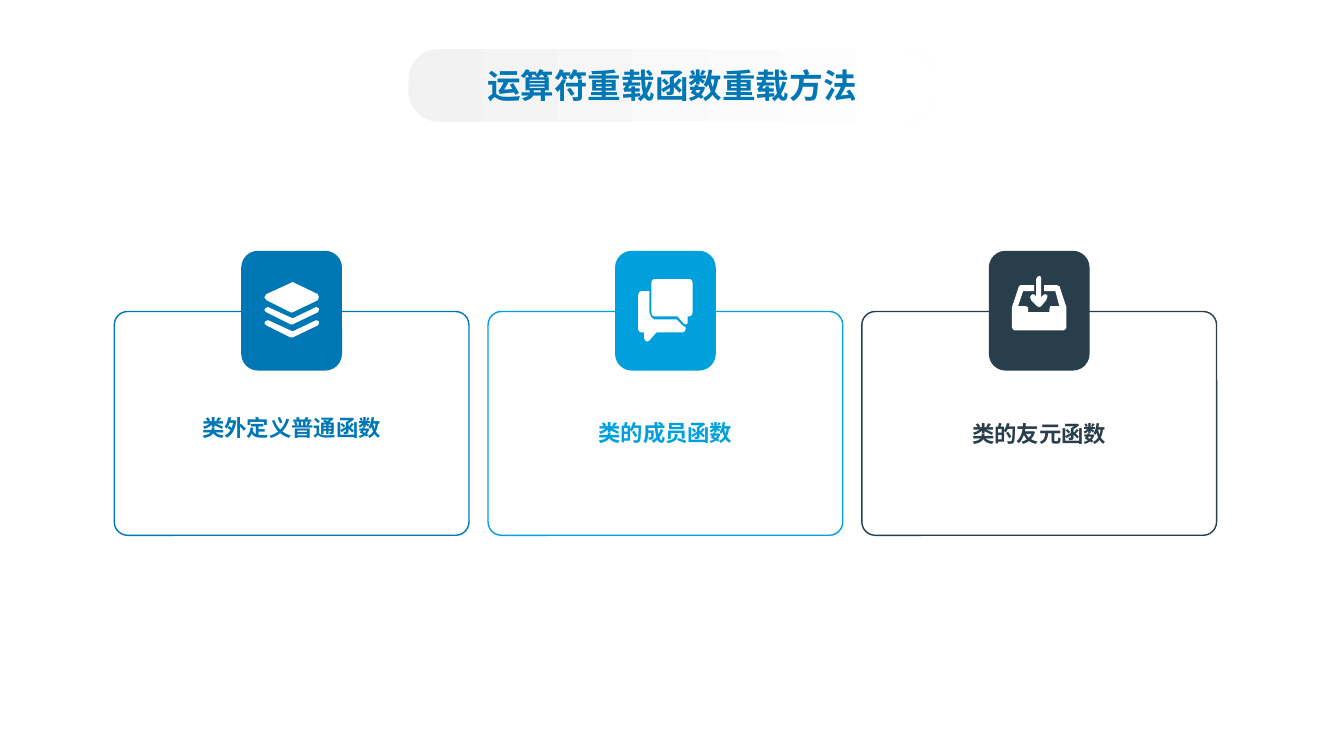
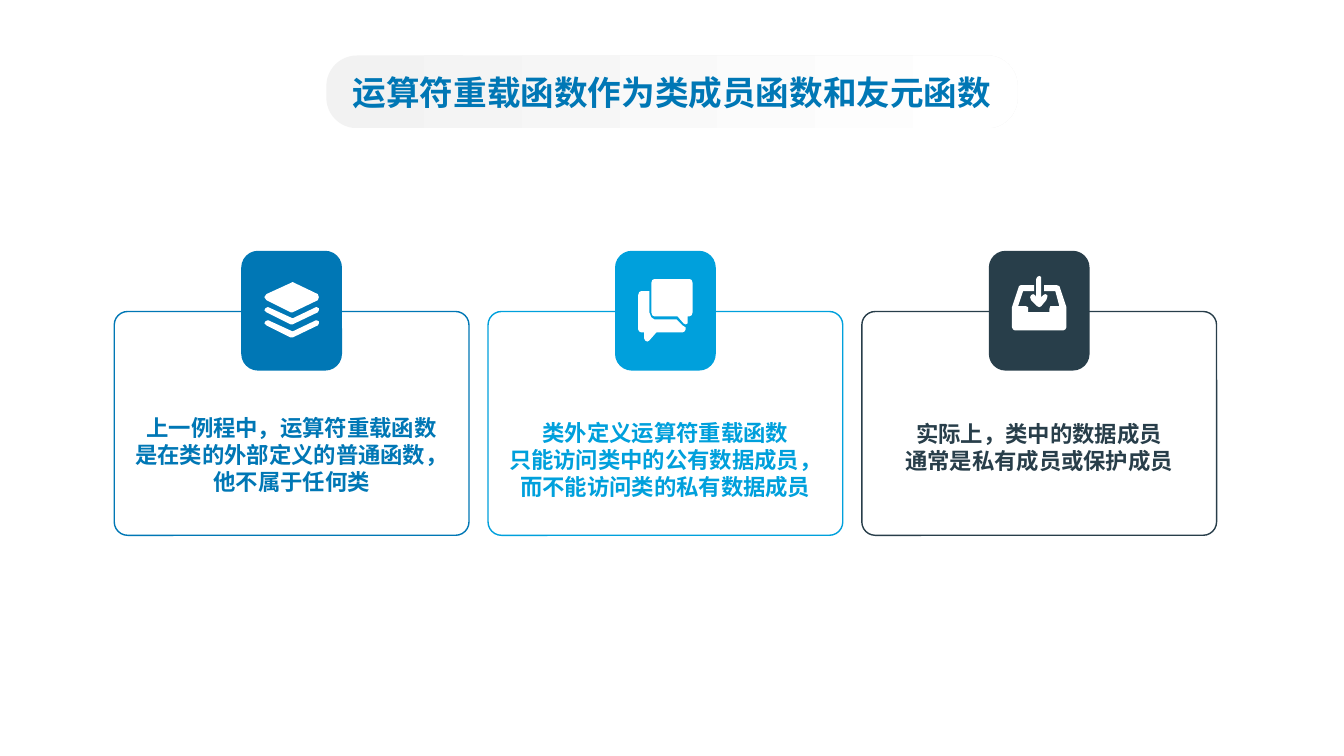
"""Build two slides of three icon cards about operator overloading functions."""
from dataclasses import dataclass

from lxml.etree import SubElement
from pptx import Presentation
from pptx.dml.color import RGBColor
from pptx.enum.shapes import MSO_SHAPE
from pptx.enum.text import MSO_ANCHOR, PP_ALIGN
from pptx.oxml.ns import qn
from pptx.shapes.autoshape import Shape
from pptx.shapes.group import GroupShape
from pptx.slide import Slide
from pptx.text.text import TextFrame
from pptx.util import Cm, Pt

BLUE = RGBColor(0x00, 0x77, 0xB5)
SKY = RGBColor(0x00, 0xA0, 0xDC)
SLATE = RGBColor(0x28, 0x3E, 0x4A)
PALE_GREY = RGBColor(0xF2, 0xF2, 0xF2)
WHITE = RGBColor(0xFF, 0xFF, 0xFF)

CJK_FONT = "Noto Sans CJK SC"
BODY_FONT = "Arial"

SLIDE_WIDTH, SLIDE_HEIGHT = Cm(33.87), Cm(19.05)
TITLE_HEIGHT = Cm(1.83)
CARD_LEFT, CARD_TOP = Cm(2.88), Cm(7.85)
CARD_WIDTH, CARD_HEIGHT = Cm(8.94), Cm(5.64)
CARD_PITCH = Cm(9.42)
TILE_TOP, TILE_WIDTH, TILE_HEIGHT = Cm(6.32), Cm(2.54), Cm(3.02)
TEXT_WIDTH, LINE_HEIGHT = Cm(8.13), Cm(0.9)
ICON_UNIT = TILE_WIDTH / 100

Outline = list[tuple[int, int]]

LAYER_TOP: Outline = [
    (76, 49), (51, 61), (49, 61), (25, 49), (23, 46),
    (25, 43), (49, 32), (51, 31), (76, 43), (77, 46),
]
LAYER_EDGE: Outline = [
    (76, 61), (51, 73), (49, 73), (25, 61), (23, 59), (24, 57), (26, 56),
    (27, 56), (51, 67), (74, 56), (75, 56), (77, 57), (77, 59),
]
LAYERS = [LAYER_TOP, LAYER_EDGE, [(x, y + 13) for x, y in LAYER_EDGE]]

FRONT_BUBBLE: Outline = [
    (74, 65), (72, 65), (72, 72), (70, 73), (68, 72), (62, 65), (39, 65),
    (37, 64), (36, 61), (36, 32), (37, 29), (39, 28), (74, 28), (76, 29),
    (77, 32), (77, 61), (76, 64),
]
BACK_BUBBLE: Outline = [
    (61, 68), (67, 74), (70, 76), (70, 78), (69, 80), (67, 81), (41, 81),
    (34, 89), (32, 90), (30, 89), (29, 87), (29, 81), (26, 81), (24, 80),
    (23, 78), (23, 44), (24, 41), (26, 40), (34, 40), (34, 61), (36, 66),
    (39, 68),
]
BUBBLES = [FRONT_BUBBLE, BACK_BUBBLE]

TRAY: Outline = [
    (74, 79), (26, 79), (24, 78), (23, 76), (23, 56), (30, 35), (32, 34),
    (45, 34), (45, 40), (34, 40), (29, 55), (37, 55), (39, 56), (39, 61),
    (60, 61), (60, 58), (61, 55), (70, 55), (66, 40), (55, 40), (55, 34),
    (67, 34), (70, 35), (77, 56), (77, 76), (76, 78),
]
DOWN_ARROW: Outline = [
    (58, 46), (57, 49), (52, 55), (50, 56), (48, 55), (42, 49), (41, 46),
    (42, 44), (44, 43), (46, 44), (47, 46), (47, 28), (48, 26), (50, 25),
    (52, 26), (52, 46), (54, 44), (56, 43), (58, 44),
]
INBOX = [TRAY, DOWN_ARROW]


@dataclass(frozen=True)
class CardStyle:
    color: RGBColor
    icon: list[Outline]
    text_top: Cm


@dataclass(frozen=True)
class CardSlide:
    title: str
    title_top: Cm
    title_width: Cm
    card_texts: list[list[str]]


CARD_STYLES = [
    CardStyle(BLUE, LAYERS, Cm(10.44)),
    CardStyle(SKY, BUBBLES, Cm(10.57)),
    CardStyle(SLATE, INBOX, Cm(10.59)),
]

CARD_SLIDES = [
    CardSlide(
        "运算符重载函数重载方法", Cm(1.24), Cm(13.28),
        [["类外定义普通函数"], ["类的成员函数"], ["类的友元函数"]],
    ),
    CardSlide(
        "运算符重载函数作为类成员函数和友元函数", Cm(1.4), Cm(17.42),
        [
            ["上一例程中，运算符重载函数", "是在类的外部定义的普通函数，", "他不属于任何类"],
            ["类外定义运算符重载函数", "只能访问类中的公有数据成员，", "而不能访问类的私有数据成员"],
            ["实际上，类中的数据成员", "通常是私有成员或保护成员"],
        ],
    ),
]


def write_lines(frame: TextFrame, lines: list[str], font_name: str, size: int, color: RGBColor) -> None:
    frame.text = "\n".join(lines)
    for paragraph in frame.paragraphs:
        paragraph.alignment = PP_ALIGN.CENTER
        font = paragraph.font
        font.name, font.size, font.bold = font_name, Pt(size), True
        font.color.rgb = color
        defaults = paragraph._p.pPr.find(qn("a:defRPr"))
        SubElement(defaults, qn("a:ea"), typeface=CJK_FONT)


def paint(shape: Shape, color: RGBColor) -> None:
    shape.shadow.inherit = False
    shape.fill.solid()
    shape.fill.fore_color.rgb = color
    shape.line.fill.background()


def add_title(slide: Slide, content: CardSlide) -> None:
    left = (SLIDE_WIDTH - content.title_width) // 2
    banner = slide.shapes.add_shape(
        MSO_SHAPE.ROUNDED_RECTANGLE, left, content.title_top, content.title_width, TITLE_HEIGHT
    )
    banner.adjustments[0] = 0.42
    banner.shadow.inherit = False
    banner.line.fill.background()
    banner.fill.gradient()
    banner.fill.gradient_angle = 0
    for stop, color, position in zip(banner.fill.gradient_stops, (PALE_GREY, WHITE), (0, 0.99)):
        stop.color.rgb = color
        stop.position = position
    banner.text_frame.vertical_anchor = MSO_ANCHOR.MIDDLE
    write_lines(banner.text_frame, [content.title], CJK_FONT, 24, BLUE)


def add_icon(group: GroupShape, outlines: list[Outline], left: int) -> None:
    first, *others = outlines
    builder = group.shapes.build_freeform(*first[0], scale=ICON_UNIT)
    builder.add_line_segments(first[1:])
    for outline in others:
        builder.move_to(*outline[0])
        builder.add_line_segments(outline[1:])
    paint(builder.convert_to_shape(left, TILE_TOP), WHITE)


def add_card(slide: Slide, left: int, style: CardStyle, lines: list[str]) -> None:
    group = slide.shapes.add_group_shape()
    frame = group.shapes.add_shape(
        MSO_SHAPE.ROUNDED_RECTANGLE, left, CARD_TOP, CARD_WIDTH, CARD_HEIGHT
    )
    frame.adjustments[0] = 0.06
    frame.shadow.inherit = False
    frame.fill.background()
    frame.line.color.rgb = style.color
    frame.line.width = Pt(1)

    tile_left = left + (CARD_WIDTH - TILE_WIDTH) // 2
    tile = group.shapes.add_shape(
        MSO_SHAPE.ROUNDED_RECTANGLE, tile_left, TILE_TOP, TILE_WIDTH, TILE_HEIGHT
    )
    paint(tile, style.color)
    add_icon(group, style.icon, tile_left)

    text_left = left + (CARD_WIDTH - TEXT_WIDTH) // 2
    box = group.shapes.add_textbox(text_left, style.text_top, TEXT_WIDTH, LINE_HEIGHT * len(lines))
    text_frame = box.text_frame
    text_frame.word_wrap = False
    text_frame.margin_left = text_frame.margin_right = 0
    text_frame.margin_top = text_frame.margin_bottom = 0
    write_lines(text_frame, lines, BODY_FONT, 16, style.color)


def main() -> None:
    presentation = Presentation()
    presentation.slide_width, presentation.slide_height = SLIDE_WIDTH, SLIDE_HEIGHT
    for content in CARD_SLIDES:
        slide = presentation.slides.add_slide(presentation.slide_layouts[6])
        for index, (style, lines) in enumerate(zip(CARD_STYLES, content.card_texts)):
            add_card(slide, CARD_LEFT + index * CARD_PITCH, style, lines)
        add_title(slide, content)
    presentation.save("out.pptx")


if __name__ == "__main__":
    main()
